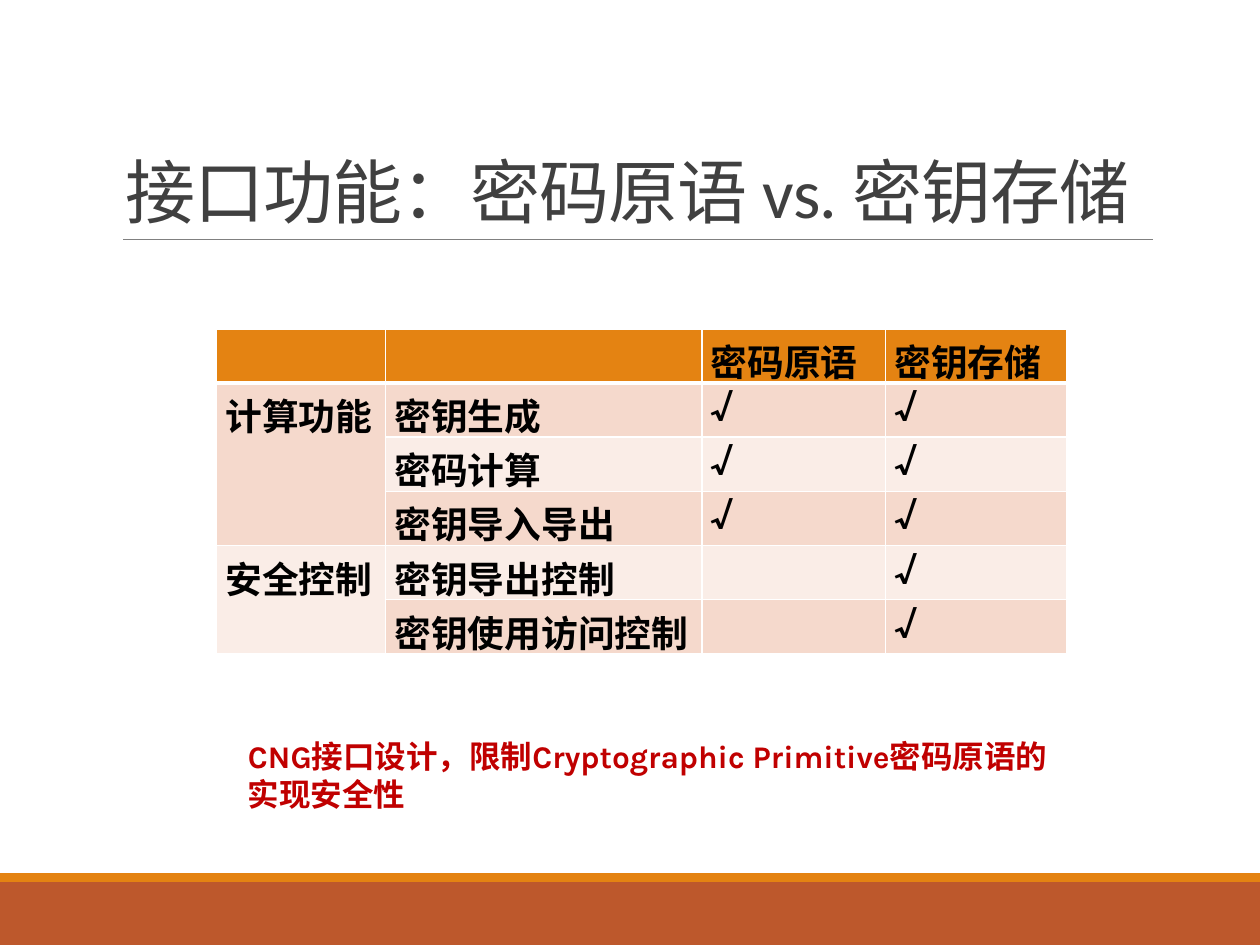
from lxml import etree
from pptx import Presentation
from pptx.dml.color import RGBColor
from pptx.enum import shapes, text
from pptx.oxml import ns
from pptx.util import Inches, Pt

COLORS = {
    "rust": "BD582C", "orange": "E48312", "rule": "808080", "title": "404040",
    "band_dark": "F5D9CC", "band_light": "FAEDE7", "border": "FFFFFF",
    "body": "000000", "note": "C00000",
}
ROWS = [
    ["", "", "密码原语", "密钥存储"],
    ["计算功能", "密钥生成", "√", "√"],
    ["", "密码计算", "√", "√"],
    ["", "密钥导入导出", "√", "√"],
    ["安全控制", "密钥导出控制", "", "√"],
    ["", "密钥使用访问控制", "", "√"],
]
COLUMN_WIDTHS = [1.34, 2.51, 1.46, 1.44]
ROW_HEIGHT = 0.42
GROUPS = [(1, 3), (4, 5)]


def color(name):
    return RGBColor.from_string(COLORS[name])


def style(paragraph, font, size, color_name, bold=False):
    paragraph.font.name = font
    paragraph.font.size = Pt(size)
    paragraph.font.bold = bold
    paragraph.font.color.rgb = color(color_name)


def add_band(slide, top, height, color_name):
    band = slide.shapes.add_shape(shapes.MSO_SHAPE.RECTANGLE, 0, Inches(top), Inches(10), Inches(height))
    band.shadow.inherit = False
    band.fill.solid()
    band.fill.fore_color.rgb = color(color_name)
    band.line.fill.background()


def add_rule(slide, left, right, y):
    rule = slide.shapes.add_connector(
        shapes.MSO_CONNECTOR.STRAIGHT, Inches(left), Inches(y), Inches(right), Inches(y))
    rule.line.color.rgb = color("rule")
    rule.line.width = Pt(0.5)
    etree.SubElement(rule._element.spPr, ns.qn("a:effectLst"))


def add_text(slide, box, words, anchor=text.MSO_ANCHOR.TOP):
    """Add a wrapping text box and return its paragraph."""
    frame = slide.shapes.add_textbox(*map(Inches, box)).text_frame
    frame.word_wrap = True
    frame.vertical_anchor = anchor
    paragraph = frame.paragraphs[0]
    paragraph.text = words
    return paragraph


def set_borders(cell, top=1, bottom=1):
    properties = cell._tc.get_or_add_tcPr()
    widths = {"lnL": 1, "lnR": 1, "lnT": top, "lnB": bottom}
    for index, (side, width) in enumerate(widths.items()):
        border = etree.Element(ns.qn(f"a:{side}"), w=str(Pt(width)))
        fill = etree.SubElement(border, ns.qn("a:solidFill"))
        etree.SubElement(fill, ns.qn("a:srgbClr"), val=COLORS["border"])
        properties.insert(index, border)


def fill_cell(cell, row, words):
    band = "orange" if row == 0 else "band_dark" if row % 2 else "band_light"
    cell.fill.solid()
    cell.fill.fore_color.rgb = color(band)
    cell.margin_left = cell.margin_right = Inches(0.07)
    cell.margin_top = cell.margin_bottom = Inches(0.04)
    cell.text = words
    style(cell.text_frame.paragraphs[0], "Karla", 21, "body", bold=True)
    set_borders(cell, top=3 if row == 1 else 1, bottom=3 if row == 0 else 1)


def add_comparison(slide, left, top):
    table = slide.shapes.add_table(
        len(ROWS), len(COLUMN_WIDTHS), Inches(left), Inches(top),
        Inches(sum(COLUMN_WIDTHS)), Inches(ROW_HEIGHT * len(ROWS))).table
    for column, width in zip(table.columns, COLUMN_WIDTHS):
        column.width = Inches(width)
    for r, words_in_row in enumerate(ROWS):
        table.rows[r].height = Inches(ROW_HEIGHT)
        for c, words in enumerate(words_in_row):
            fill_cell(table.cell(r, c), r, words)
    for first, last in GROUPS:
        table.cell(first, 0).merge(table.cell(last, 0))


def main():
    deck = Presentation()
    deck.slide_width, deck.slide_height = Inches(10), Inches(7.5)
    slide = deck.slides.add_slide(deck.slide_layouts[6])

    add_band(slide, 7, 0.5, "rust")
    add_band(slide, 6.93, 0.07, "orange")
    add_rule(slide, 0.98, 9.15, 1.9)

    title = add_text(slide, (0.9, 0.31, 8.25, 1.59), "接口功能：密码原语 vs. 密钥存储",
                     text.MSO_ANCHOR.BOTTOM)
    style(title, "Calibri", 40, "title")
    title.line_spacing = 0.85
    title.runs[0]._r.get_or_add_rPr().set("spc", "-50")

    add_comparison(slide, 1.72, 2.61)

    note = add_text(slide, (1.87, 5.8, 6.6, 0.71),
                    "CNG接口设计，限制Cryptographic Primitive密码原语的实现安全性")
    style(note, "Karla", 18, "note", bold=True)

    deck.save("out.pptx")


if __name__ == "__main__":
    main()
